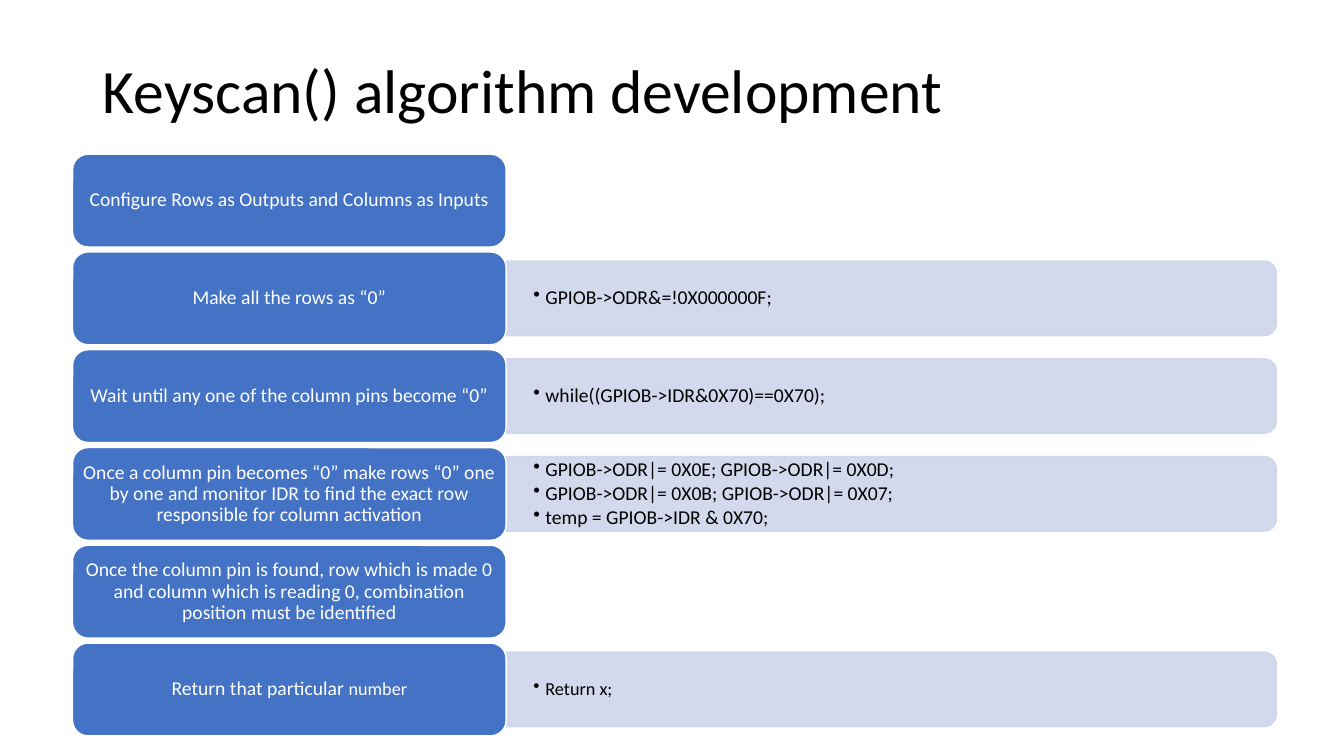
from dataclasses import dataclass

from pptx import Presentation as Deck
from pptx.dml.color import RGBColor as Rgb
from pptx.enum.shapes import MSO_SHAPE as Kind
from pptx.enum.text import MSO_ANCHOR as Anchor, PP_ALIGN as Align
from pptx.oxml.ns import qn
from pptx.oxml.xmlchemy import OxmlElement as Node
from pptx.util import Inches, Pt


@dataclass(frozen=True)
class Theme:
    font: str = "Calibri"
    blue: Rgb = Rgb(0x44, 0x72, 0xC4)
    pale: Rgb = Rgb(0xCF, 0xD5, 0xEA)
    white: Rgb = Rgb(255, 255, 255)
    black: Rgb = Rgb(0, 0, 0)
    title: int = 44
    body: int = 14
    small: int = 13


LOOK = Theme()
TOP, PITCH = 1.53, 0.97
LEFT, WIDE, HIGH = 0.72, 4.3, 0.92
BAR_W, BAR_H = 7.64, 0.74
NOTE_W, NOTE_H = 7.6, 0.67

STEPS = [
    ([("Configure Rows as Outputs and Columns as Inputs", LOOK.body)], []),
    ([("Make all the rows as “0”", LOOK.body)],
     [("GPIOB->ODR&=!0X000000F;", LOOK.body)]),
    ([("Wait until any one of the column pins become “0”", LOOK.body)],
     [("while((GPIOB->IDR&0X70)==0X70);", LOOK.body)]),
    ([("Once a column pin becomes “0” make rows “0” one by one and monitor "
       "IDR to find the exact row responsible for column activation",
       LOOK.body)],
     [("GPIOB->ODR|= 0X0E; GPIOB->ODR|= 0X0D;", LOOK.body),
      ("GPIOB->ODR|= 0X0B; GPIOB->ODR|= 0X07;", LOOK.body),
      ("temp = GPIOB->IDR & 0X70;", LOOK.body)]),
    ([("Once the column pin is found, row which is made 0 and column which "
       "is reading 0, combination position must be identified", LOOK.body)],
     []),
    ([("Return that particular ", LOOK.body), ("number", LOOK.small)],
     [("Return x;", LOOK.small)]),
]


def apply(item, form):
    for key, value in form.items():
        setattr(item, key, value)


def set_frame(frame, side, edge):
    apply(frame, {
        "word_wrap": True, "vertical_anchor": Anchor.MIDDLE,
        "margin_left": Inches(side), "margin_right": Inches(side),
        "margin_top": Inches(edge), "margin_bottom": Inches(edge)})


def add_run(para, text, size, color):
    run = para.add_run()
    run.text = text
    apply(run.font, {"name": LOOK.font, "size": Pt(size)})
    run.font.color.rgb = color


def paint(shape, fill, line):
    shape.shadow.inherit = False
    shape.fill.solid()
    shape.fill.fore_color.rgb = fill
    shape.line.color.rgb = line
    shape.line.width = Pt(1)


def fade(shape, part):
    for color in shape.element.spPr.iter(qn("a:srgbClr")):
        alpha = Node("a:alpha")
        alpha.set("val", str(part * 1000))
        color.append(alpha)


def add_dot(para):
    props = para._p.get_or_add_pPr()
    props.set("marL", str(Inches(0.12)))
    props.set("indent", str(-Inches(0.12)))
    dot = Node("a:buChar")
    dot.set("char", "•")
    props.append(dot)


def add_title(slide, text):
    title = slide.shapes.title
    apply(title, {"left": Inches(0.92), "top": Inches(0.2),
                  "width": Inches(11.5), "height": Inches(1.45)})
    title.text_frame.vertical_anchor = Anchor.MIDDLE
    para = title.text_frame.paragraphs[0]
    apply(para, {"alignment": Align.LEFT, "line_spacing": 0.9})
    add_run(para, text, LOOK.title, LOOK.black)


def add_bar(slide, mid):
    center = LEFT + WIDE + BAR_W / 2
    bar = slide.shapes.add_shape(
        Kind.ROUND_2_SAME_RECTANGLE, Inches(center - BAR_H / 2),
        Inches(mid - BAR_W / 2), Inches(BAR_H), Inches(BAR_W))
    bar.rotation = 90
    paint(bar, LOOK.pale, LOOK.pale)
    fade(bar, 90)


def add_code(slide, mid, lines):
    box = slide.shapes.add_textbox(
        Inches(LEFT + WIDE), Inches(mid - NOTE_H / 2),
        Inches(NOTE_W), Inches(NOTE_H))
    frame = box.text_frame
    set_frame(frame, 0.27, 0.14)
    for index, (text, size) in enumerate(lines):
        para = frame.add_paragraph() if index else frame.paragraphs[0]
        apply(para, {"level": 1, "alignment": Align.LEFT,
                     "line_spacing": 0.9, "space_after": Pt(2)})
        add_dot(para)
        add_run(para, text, size, LOOK.black)


def add_step(slide, top, runs):
    step = slide.shapes.add_shape(
        Kind.ROUNDED_RECTANGLE, Inches(LEFT), Inches(top),
        Inches(WIDE), Inches(HIGH))
    paint(step, LOOK.blue, LOOK.white)
    set_frame(step.text_frame, 0.06, 0.03)
    para = step.text_frame.paragraphs[0]
    apply(para, {"alignment": Align.CENTER, "line_spacing": 0.9})
    for text, size in runs:
        add_run(para, text, size, LOOK.white)


def main():
    deck = Deck()
    apply(deck, {"slide_width": Inches(13.33), "slide_height": Inches(7.5)})
    slide = deck.slides.add_slide(deck.slide_layouts[5])
    add_title(slide, "Keyscan() algorithm development")
    for index, (runs, lines) in enumerate(STEPS):
        top = TOP + index * PITCH
        if lines:
            add_bar(slide, top + HIGH / 2)
            add_code(slide, top + HIGH / 2, lines)
        add_step(slide, top, runs)
    deck.save("out.pptx")


if __name__ == "__main__":
    main()
